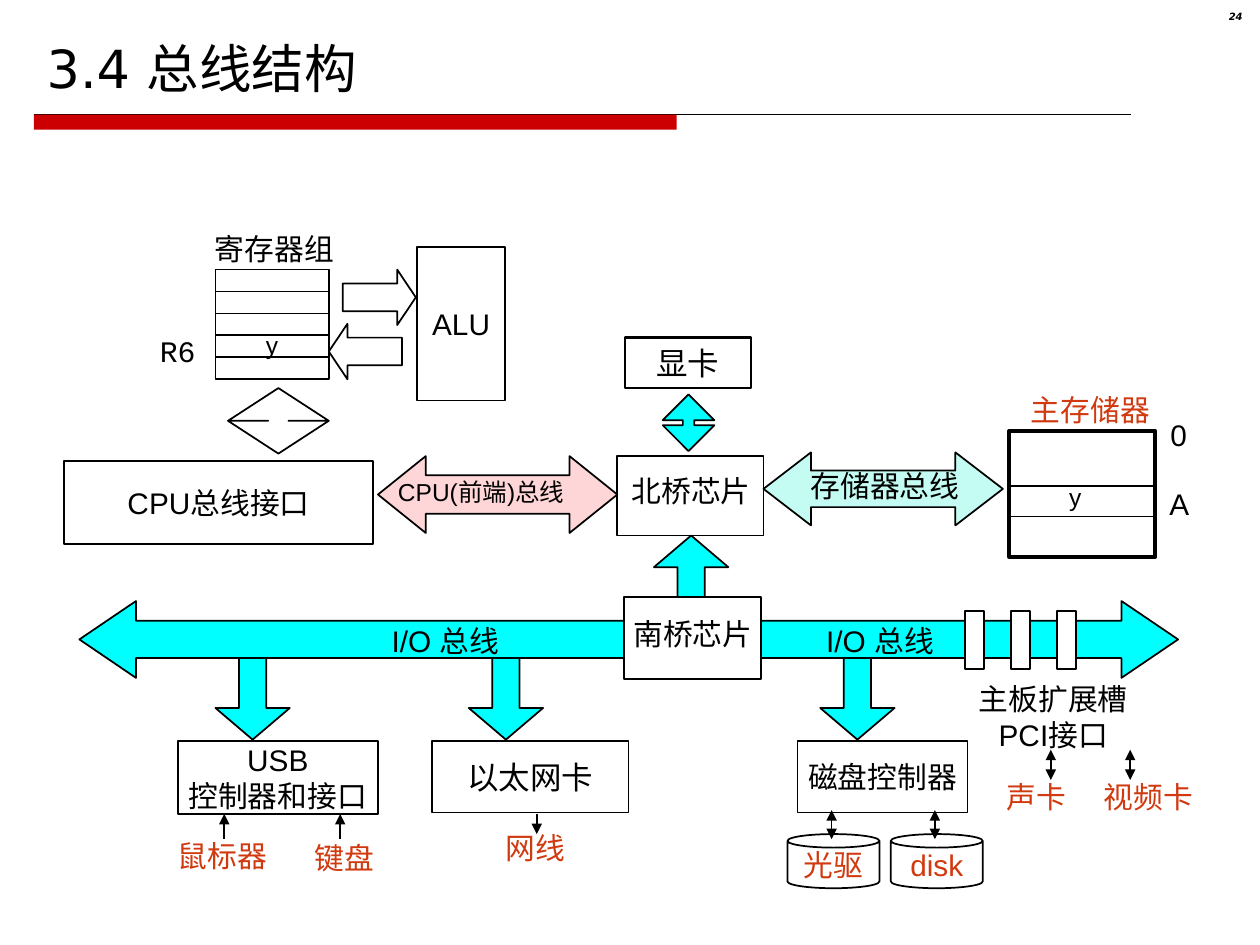
from typing import NamedTuple

from pptx import Presentation
from pptx.dml.color import RGBColor
from pptx.enum.shapes import MSO_CONNECTOR, MSO_SHAPE
from pptx.enum.text import MSO_ANCHOR, MSO_AUTO_SIZE, PP_ALIGN
from pptx.oxml.ns import qn
from pptx.util import Inches, Pt
from lxml import etree

RECT = MSO_SHAPE.RECTANGLE
CAN = MSO_SHAPE.CAN
RIGHT, LEFT_ARROW = MSO_SHAPE.RIGHT_ARROW, MSO_SHAPE.LEFT_ARROW
UP, DOWN = MSO_SHAPE.UP_ARROW, MSO_SHAPE.DOWN_ARROW
WIDE = MSO_SHAPE.LEFT_RIGHT_ARROW
TALL = MSO_SHAPE.UP_DOWN_ARROW
STRAIGHT = MSO_CONNECTOR.STRAIGHT
START, CENTER, END = PP_ALIGN.LEFT, PP_ALIGN.CENTER, PP_ALIGN.RIGHT
TOP, MIDDLE, BOTTOM = MSO_ANCHOR.TOP, MSO_ANCHOR.MIDDLE, MSO_ANCHOR.BOTTOM


class Theme:
    ink = "000000"
    paper = "FFFFFF"
    accent = "CC0000"
    device = "D1390F"
    io_bus = "00FFFF"
    cpu_bus = "FED6D7"
    memory_bus = "C4FCF3"
    font = "Arial"
    title_font = "DejaVu Sans"
    code_font = "Courier New"
    title = 30
    large = 18
    body = 17
    small = 14
    number = 5.7


class Part(NamedTuple):
    kind: int
    left: float
    top: float
    width: float
    height: float
    fill: str | None = None
    text: str = ""
    adjust: tuple[float, ...] = ()
    size: float = Theme.body
    color: str = Theme.ink
    line: float = 1


class Label(NamedTuple):
    text: str
    left: float
    top: float
    width: float
    height: float = 0.38
    color: str = Theme.ink
    size: float = Theme.body
    align: int = CENTER
    anchor: int = MIDDLE
    font: str = Theme.font
    wrap: bool = False


class Wire(NamedTuple):
    x: float
    start: float
    stop: float
    ends: tuple[str, ...]


def write(frame, text: str, *, size: float, color: str = Theme.ink, font: str = Theme.font,
          align: int = CENTER, anchor: int = MIDDLE, wrap: bool = False,
          bold: bool = False, italic: bool = False, spacing: float = 1.0) -> None:
    frame.word_wrap = wrap
    frame.auto_size = MSO_AUTO_SIZE.NONE
    frame.vertical_anchor = anchor
    frame.margin_left = frame.margin_right = Inches(0.1)
    frame.margin_top = frame.margin_bottom = Inches(0.05)
    for index, words in enumerate(text.split("\n")):
        para = frame.add_paragraph() if index else frame.paragraphs[0]
        para.alignment = align
        para.line_spacing = spacing
        span = para.add_run()
        span.text = words
        span.font.name = font
        span.font.size = Pt(size)
        span.font.bold = bold
        span.font.italic = italic
        span.font.color.rgb = RGBColor.from_string(color)


def draw_part(page, part: Part) -> None:
    box = page.shapes.add_shape(part.kind, *map(Inches, part[1:5]))
    box.shadow.inherit = False
    for index, value in enumerate(part.adjust):
        box.adjustments[index] = value
    if part.fill:
        box.fill.solid()
        box.fill.fore_color.rgb = RGBColor.from_string(part.fill)
    else:
        box.fill.background()
    if part.line:
        box.line.color.rgb = RGBColor.from_string(Theme.ink)
        box.line.width = Pt(part.line)
    else:
        box.line.fill.background()
    if part.text:
        write(box.text_frame, part.text, size=part.size, color=part.color,
              spacing=0.9 if part.height < 0.2 else 1.0)


def draw_label(page, label: Label) -> None:
    box = page.shapes.add_textbox(*map(Inches, label[1:5]))
    write(box.text_frame, label.text, size=label.size, color=label.color, font=label.font,
          align=label.align, anchor=label.anchor, wrap=label.wrap)


def draw_line(page, x1: float, y1: float, x2: float, y2: float,
              width: float = 1, ends: tuple[str, ...] = ()) -> None:
    line = page.shapes.add_connector(STRAIGHT, *map(Inches, (x1, y1, x2, y2)))
    line.line.color.rgb = RGBColor.from_string(Theme.ink)
    line.line.width = Pt(width)
    outline = line.line._get_or_add_ln()
    for end in ends:
        etree.SubElement(outline, qn(f"a:{end}"), type="triangle")
    etree.SubElement(line._element.spPr, qn("a:effectLst"))


# CPU: registers, ALU and bus interface
REGISTER_TEXT = ("", "", "", "y", "")
CPU_PARTS = [
    Part(WIDE, 3, 3.62, 1.9, 0.61, Theme.cpu_bus, adjust=(0.5, 0.622)),
    *(Part(RECT, 1.71, 2.14 + 0.174 * row, 0.9, 0.174, text=text, size=Theme.small)
      for row, text in enumerate(REGISTER_TEXT)),
    Part(RIGHT, 2.72, 2.14, 0.58, 0.44, adjust=(0.5, 0.335)),
    Part(LEFT_ARROW, 2.61, 2.57, 0.58, 0.44, adjust=(0.5, 0.335)),
    Part(RECT, 3.31, 1.96, 0.7, 1.22, text="ALU"),
    Part(TALL, 1.81, 3.08, 0.8, 0.52, adjust=(0.5, 0.199)),
    Part(RECT, 0.51, 3.66, 2.45, 0.66, Theme.paper, "CPU总线接口"),
]
CPU_LABELS = [
    Label("寄存器组", 1.61, 1.78, 1.14),
    Label("R6", 1.17, 2.59, 0.66, align=START, anchor=TOP, font=Theme.code_font, wrap=True),
    Label("CPU(前端)总线", 3.06, 3.74, 2.22, 0.33, size=Theme.small,
          align=START, anchor=TOP, wrap=True),
]

# I/O bus: branches, joints that open into the bus, expansion slots, south bridge
BRANCHES = (1.71, 3.72, 6.51)
BUS_PARTS = [
    Part(UP, 5.19, 4.25, 0.59, 0.78, Theme.io_bus, adjust=(0.367, 0.426)),
    *(Part(DOWN, left, 5.09, 0.59, 0.78, Theme.io_bus, adjust=(0.367, 0.425))
      for left in BRANCHES),
    Part(WIDE, 0.63, 4.77, 8.72, 0.61, Theme.io_bus, adjust=(0.486, 0.737)),
    *(Part(RECT, left + 0.21, 5.02, 0.2, 0.17, Theme.io_bus, line=0) for left in BRANCHES),
    *(Part(RECT, 7.66 + 0.365 * slot, 4.85, 0.15, 0.46, Theme.paper) for slot in range(3)),
    Part(RECT, 4.95, 4.74, 1.09, 0.65, Theme.paper),
]
BUS_LABELS = [
    *(Label("I/O 总线", left, 4.89, 1.11) for left in (2.98, 6.43)),
    Label("主板扩展槽\nPCI接口", 7.67, 5.35, 1.38, 0.67),
    Label("南桥芯片", 4.93, 4.84, 1.14),
]

# Controllers and devices
DEVICE_PARTS = [
    Part(RECT, 6.33, 5.88, 1.35, 0.57, text="磁盘控制器"),
    Part(RECT, 3.43, 5.88, 1.56, 0.57, text="以太网卡", size=Theme.large),
    Part(RECT, 1.41, 5.88, 1.59, 0.58, text="USB\n控制器和接口"),
    *(Part(CAN, left, 6.62, 0.73, 0.43, text=text, adjust=(0.25,), color=Theme.device)
      for left, text in ((6.25, "光驱"), (7.07, "disk"))),
]
DEVICE_LABELS = [
    Label("鼠标器", 1.31, 6.6, 0.91, color=Theme.device),
    Label("键盘", 2.4, 6.62, 0.67, color=Theme.device),
    Label("网线", 3.88, 6.54, 0.74, color=Theme.device, wrap=True),
    Label("声卡", 7.89, 6.13, 0.71, color=Theme.device, align=START, wrap=True),
    Label("视频卡", 8.66, 6.13, 0.91, color=Theme.device),
]
BOTH = ("headEnd", "tailEnd")
WIRES = [
    *(Wire(x, 6.46, 6.66, ("headEnd",)) for x in (1.78, 2.7)),
    Wire(4.26, 6.46, 6.62, ("tailEnd",)),
    *(Wire(x, 6.66, 6.43, BOTH) for x in (6.6, 7.42)),
    *(Wire(x, 5.95, 6.19, BOTH) for x in (8.34, 8.97)),
]

# North bridge, graphics card and main memory
MEMORY_PARTS = [
    Part(WIDE, 6.06, 3.59, 1.9, 0.58, Theme.memory_bus, adjust=(0.5, 0.65)),
    Part(RECT, 4.9, 3.62, 1.16, 0.63),
    Part(RECT, 8.01, 3.42, 1.16, 1, line=2.25),
    Part(RECT, 8.01, 3.86, 1.16, 0.24),
    Part(TALL, 5.26, 3.13, 0.41, 0.45, Theme.io_bus, adjust=(0.5, 0.219)),
    Part(RECT, 4.96, 2.68, 1, 0.4, text="显卡", size=Theme.large, line=1.5),
]
MEMORY_LABELS = [
    Label("主存储器", 7.78, 3.06, 1.75, color=Theme.device, wrap=True),
    Label("0", 9.19, 3.26, 0.33),
    Label("A", 9.18, 3.81, 0.36),
    Label("北桥芯片", 4.84, 3.7, 1.29, wrap=True),
    Label("y", 8.1, 3.82, 0.87, 0.24, size=Theme.small),
    Label("存储器总线", 6.22, 3.66, 1.61, anchor=TOP, wrap=True),
]


def main() -> None:
    deck = Presentation()
    deck.slide_width, deck.slide_height = Inches(10), Inches(7.5)
    page = deck.slides.add_slide(deck.slide_layouts[5])

    # Title, rule and page number
    title = page.shapes.title
    title.left, title.top, title.width, title.height = map(Inches, (0.27, 0.13, 9.45, 0.71))
    write(title.text_frame, "3.4 总线结构", size=Theme.title, font=Theme.title_font,
          align=START, anchor=BOTTOM, wrap=True)
    draw_line(page, 0.27, 0.91, 8.98, 0.91, width=0.75)
    draw_part(page, Part(RECT, 0.27, 0.91, 5.1, 0.12, Theme.accent, line=0))
    number = page.shapes.add_textbox(*map(Inches, (9.37, 0.05, 0.59, 0.23)))
    write(number.text_frame, "24", size=Theme.number, font=Theme.title_font, align=END,
          anchor=TOP, wrap=True, bold=True, italic=True, spacing=0.8)

    # Diagram, from back to front
    for part in CPU_PARTS + BUS_PARTS + DEVICE_PARTS + MEMORY_PARTS:
        draw_part(page, part)
    for wire in WIRES:
        draw_line(page, wire.x, wire.start, wire.x, wire.stop, ends=wire.ends)
    for label in CPU_LABELS + BUS_LABELS + DEVICE_LABELS + MEMORY_LABELS:
        draw_label(page, label)

    deck.save("out.pptx")


if __name__ == "__main__":
    main()
